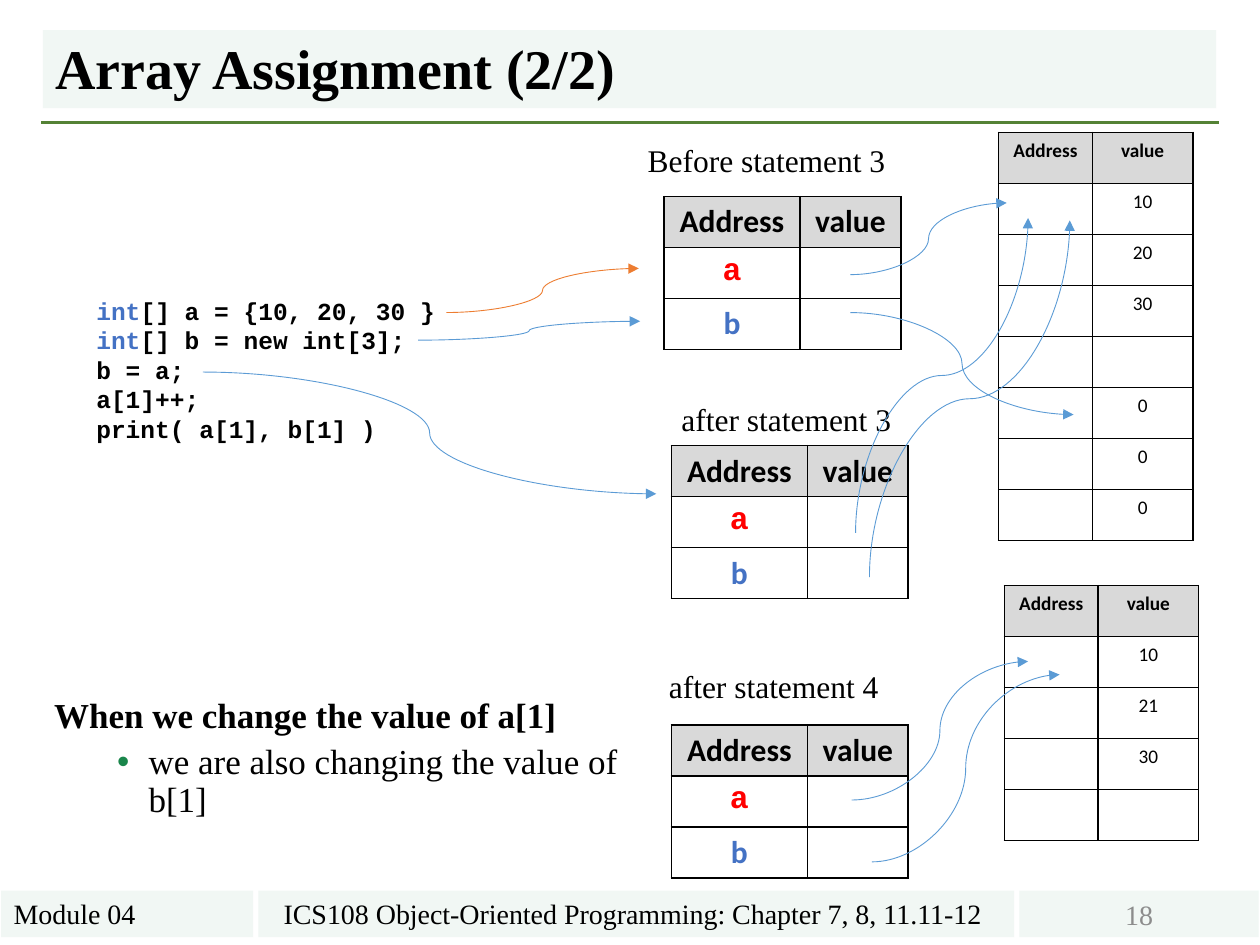
from lxml import etree
from pptx import Presentation
from pptx import util as u
from pptx.dml.color import RGBColor
from pptx.enum import shapes, text
from pptx.oxml.ns import qn

Pt = u.Pt
LEFT, MID = text.PP_ALIGN.LEFT, text.PP_ALIGN.CENTER
TOP, CORE, LOW = text.MSO_ANCHOR.TOP, text.MSO_ANCHOR.MIDDLE, text.MSO_ANCHOR.BOTTOM


class Theme:
    serif, sans, mono = "Times New Roman", "Calibri", "Courier New"
    black, gray, red = "000000", "8C8C8C", "FF0000"
    blue, sky, orange = "4472C4", "5B9BD5", "ED7D31"
    green, dot, pale, head = "548235", "1A864B", "F1F7F4", "D9D9D9"
    title, body, label, foot, code, small = 32, 20, 18, 16, 14, 11
    row, thin = 29.16, 0.5


def rgb(code):
    return RGBColor.from_string(code)


def style(run, size, face=Theme.serif, color=Theme.black, bold=False):
    font = run.font
    font.size, font.name, font.bold = Pt(size), face, bold
    font.color.rgb = rgb(color)


def child(node, tag, **attrs):
    return etree.SubElement(node, qn(tag), {k: str(v) for k, v in attrs.items()})


def add_bar(slide, box, words, size, anchor=TOP, align=LEFT, color=Theme.black, bold=False):
    bar = slide.shapes.add_shape(shapes.MSO_SHAPE.RECTANGLE, *map(Pt, box))
    bar.shadow.inherit = False
    bar.fill.solid()
    bar.fill.fore_color.rgb = rgb(Theme.pale)
    bar.line.fill.background()
    frame = bar.text_frame
    frame.text = words
    frame.vertical_anchor, frame.word_wrap = anchor, True
    para = frame.paragraphs[0]
    para.alignment = align
    style(para.runs[0], size, color=color, bold=bold)
    return para


def add_text(slide, box, words, wrap=True):
    frame = slide.shapes.add_textbox(*map(Pt, box)).text_frame
    frame.word_wrap = wrap
    frame.text = words
    return frame


def add_label(slide, left, top, width, words):
    frame = add_text(slide, (left, top, width, 29), words, wrap=False)
    style(frame.paragraphs[0].runs[0], Theme.label)


def add_code(slide, box, lines):
    frame = add_text(slide, box, "\n".join(lines))
    for para, line in zip(frame.paragraphs, lines):
        if line.startswith("int"):
            para.text = "int"
            para.add_run().text = line[3:]
        for run in para.runs:
            color = Theme.blue if run.text == "int" else Theme.black
            style(run, Theme.code, Theme.mono, color, True)


def add_note(slide, box, lead, point):
    frame = add_text(slide, box, lead + "\n" + point)
    for para, gap in zip(frame.paragraphs, (18, 5)):
        para.line_spacing, para.space_before = 0.9, Pt(gap)
        style(para.runs[0], Theme.body, bold=para.text == lead)
    # Bullet of the second line
    props = frame.paragraphs[1]._p.get_or_add_pPr()
    props.set("lvl", "1")
    props.set("marL", str(Pt(54)))
    props.set("indent", str(-Pt(18)))
    child(child(props, "a:buClr"), "a:srgbClr", val=Theme.dot)
    child(props, "a:buFont", typeface="Arial")
    child(props, "a:buChar", char="•")


def frame_cell(cell):
    props = cell._tc.get_or_add_tcPr()
    for spot, side in enumerate(("a:lnL", "a:lnR", "a:lnT", "a:lnB")):
        edge = etree.Element(qn(side), w=str(Pt(1)))
        child(child(edge, "a:solidFill"), "a:srgbClr", val=Theme.black)
        props.insert(spot, edge)


def add_grid(slide, left, top, cols, rows, size, looks):
    """looks maps a cell's text to its font, colour and weight."""
    shape = slide.shapes.add_table(
        len(rows), 2, Pt(left), Pt(top), Pt(sum(cols)), Pt(Theme.row * len(rows)))
    grid = shape.table
    grid.first_row = grid.horz_banding = False
    for col, width in zip(grid.columns, cols):
        col.width = Pt(width)
    for r, row in enumerate(rows):
        grid.rows[r].height = Pt(Theme.row)
        for c, words in enumerate(row):
            cell = grid.cell(r, c)
            if r == 0:
                cell.fill.solid()
                cell.fill.fore_color.rgb = rgb(Theme.head)
            else:
                cell.fill.background()
            frame_cell(cell)
            para = cell.text_frame.paragraphs[0]
            para.text, para.alignment = words, MID
            para.font.size = Pt(size)
            for run in para.runs:
                face, color = looks.get(words, (Theme.sans, Theme.black))
                style(run, size, face, color, r == 0 or words in looks)


HEAD = ("Address", "value")


def add_names(slide, left, top):
    looks = {"a": (Theme.mono, Theme.red), "b": (Theme.sans, Theme.blue)}
    rows = [HEAD, ("a", ""), ("b", "")]
    add_grid(slide, left, top, (77.8, 57.6), rows, Theme.label, looks)


def add_heap(slide, left, top, values):
    rows = [HEAD] + [("", value) for value in values]
    add_grid(slide, left, top, (53.5, 57.5), rows, Theme.small, {})


def add_line(slide, kind, ends, color, width):
    line = slide.shapes.add_connector(kind, *map(Pt, ends))
    line.line.color.rgb = rgb(color)
    line.line.width = Pt(width)
    child(line._element.spPr, "a:effectLst")
    return line


def add_curve(slide, ends, color=Theme.sky, rise=False):
    """A curved arrow; rise makes it leave and arrive vertically."""
    x1, y1, x2, y2 = ends
    if rise:  # the same ends before a quarter turn about the centre
        mx, my = (x1 + x2) / 2, (y1 + y2) / 2
        dx, dy = (x2 - x1) / 2, (y2 - y1) / 2
        ends = (mx - dy, my + dx, mx + dy, my - dx)
    line = add_line(slide, shapes.MSO_CONNECTOR.CURVE, ends, color, Theme.thin)
    if rise:
        line._element.spPr.find(qn("a:xfrm")).set("rot", "5400000")
    child(line.line._get_or_add_ln(), "a:tailEnd", type="triangle")


def main():
    deck = Presentation()
    deck.slide_width, deck.slide_height = Pt(720), Pt(540)
    slide = deck.slides.add_slide(deck.slide_layouts[6])

    # Title and footer
    add_line(slide, shapes.MSO_CONNECTOR.STRAIGHT, (23.5, 70, 696.5, 70), Theme.green, 1.5)
    title = add_bar(slide, (24.5, 17.3, 670.5, 44.5), "Array Assignment (2/2)",
                    Theme.title, LOW, bold=True)
    title.line_spacing = 0.9
    add_bar(slide, (147.6, 509, 432, 26.6),
            "ICS108 Object-Oriented Programming: Chapter 7, 8, 11.11-12 ", Theme.foot, align=MID)
    add_bar(slide, (0.7, 509, 144, 26.6), "Module 04", Theme.foot)
    add_bar(slide, (582.5, 509, 136.8, 26.6), "18", Theme.foot, CORE, MID, Theme.gray)

    # Code and remark
    add_code(slide, (48, 165.6, 241, 92),
             ["int[] a = {10, 20, 30 }", "int[] b = new int[3];", "b = a;",
              "a[1]++;", "print( a[1], b[1] )"])
    add_note(slide, (23.8, 395.3, 355.7, 97.2), "When we change the value of a[1]",
             "we are also changing the value of b[1]")

    # Variables and memory
    add_names(slide, 379.4, 112.3)
    add_names(slide, 383.6, 254.7)
    add_names(slide, 383.6, 414.2)
    add_heap(slide, 570.7, 75.6, ["10", "20", "30", "", "0", "0", "0"])
    add_heap(slide, 574, 334.7, ["10", "21", "30", ""])
    add_label(slide, 363, 77, 156, "Before statement 3")
    add_label(slide, 382.3, 224.9, 135.4, "after statement 3")
    add_label(slide, 375.1, 377.8, 135.4, "after statement 4")

    # Arrows from the code to the variables
    add_curve(slide, (255, 178.6, 365, 153.4), Theme.orange)
    add_curve(slide, (239, 194.4, 365.8, 183.6))
    add_curve(slide, (116, 212.6, 375.1, 282.2))

    # Arrows from the variables to memory
    add_curve(slide, (486, 157, 575.3, 116))
    add_curve(slide, (486, 178.6, 613.5, 236.9))
    add_curve(slide, (488.9, 304.6, 587.5, 124.6), rise=True)
    add_curve(slide, (496.8, 329.8, 611.3, 126), rise=True)
    add_curve(slide, (486.7, 457.2, 587.5, 378))
    add_curve(slide, (498.2, 492.5, 605.5, 385.5))

    deck.save("out.pptx")


if __name__ == "__main__":
    main()
